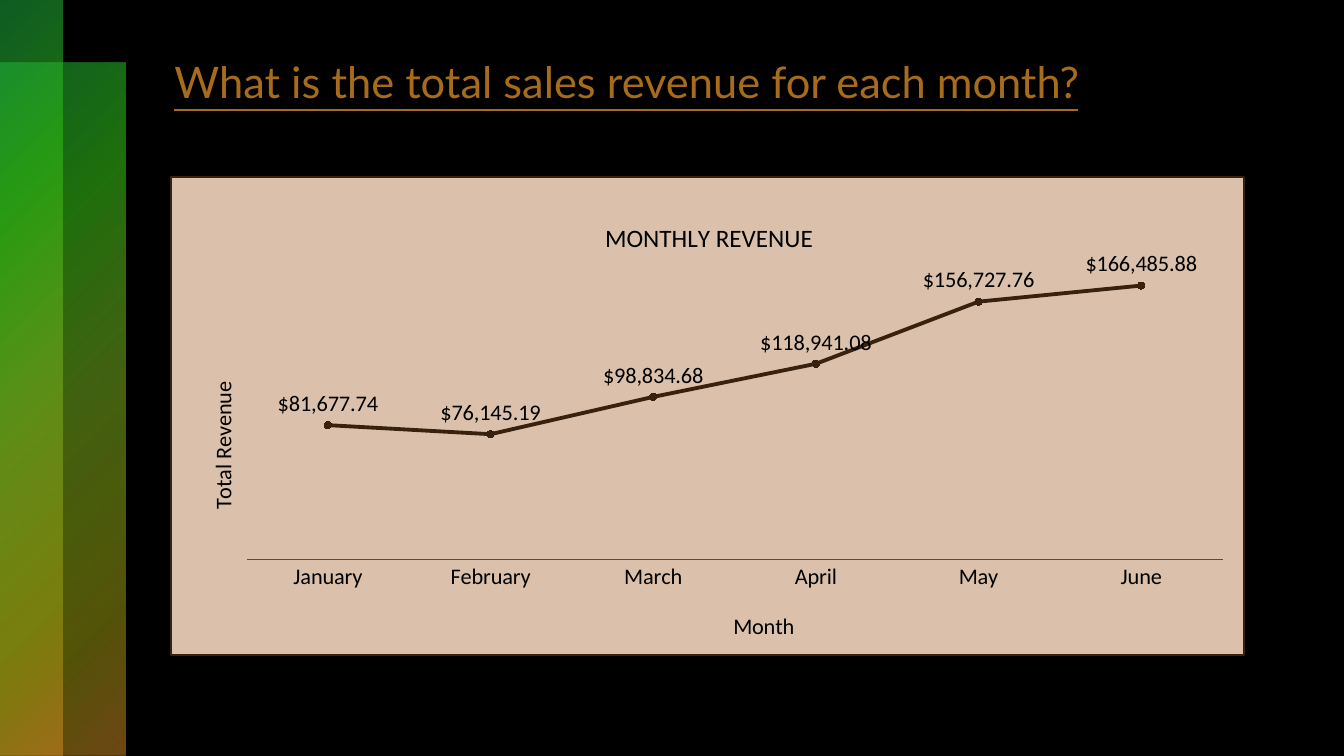
import pptx
import pptx.chart.data
import pptx.dml.color
import pptx.enum.chart
import pptx.enum.shapes
import pptx.enum.text
import pptx.oxml
import pptx.oxml.ns
import pptx.util
from pptx.util import Inches

TITLE = "What is the total sales revenue for each month?"
CHART_TITLE = "MONTHLY REVENUE"
MONTH_TITLE = "Month"
REVENUE_TITLE = "Total Revenue"
REVENUE = {
    "January": 81677.74,
    "February": 76145.19,
    "March": 98834.68,
    "April": 118941.08,
    "May": 156727.76,
    "June": 166485.88,
}
MONEY = r"\$#,##0.00;\(\$#,##0.00\);\$#,##0.00"
COLORS = {
    "background": "000000",
    "title": "A76C1B",
    "text": "000000",
    "panel": "DBC1AC",
    "line": "38220F",
    "marker": "634832",
}
# position in percent, colour, opacity in percent
BAND_STOPS = [(0, "21BA47", 50), (25, "30BA14", 60), (50, "75B320", 55),
              (81, "A6A612", 50), (99, "DC9026", 50)]
BAND_WIDTH = 0.62
BANDS = [(2 * BAND_WIDTH, BAND_WIDTH), (BAND_WIDTH, 0)]  # width, top
SLIDE_WIDTH, SLIDE_HEIGHT = 13.33, 7.5


def color(name):
    return pptx.dml.color.RGBColor.from_string(COLORS[name])


def write(frame, text, font="Calibri", size=16, ink="text", underline=None):
    para = frame.paragraphs[0]
    span = para.add_run()
    span.text = text
    span.font.name = font
    span.font.size = pptx.util.Pt(size)
    span.font.bold = False
    span.font.underline = underline
    span.font.color.rgb = color(ink)


def add_band(page, width, top):
    band = page.shapes.add_shape(
        pptx.enum.shapes.MSO_SHAPE.RECTANGLE, 0, Inches(top),
        Inches(width), Inches(SLIDE_HEIGHT - top))
    band.shadow.inherit = False
    band.line.fill.background()
    stops = "".join(
        f'<a:gs pos="{place * 1000}"><a:srgbClr val="{shade}">'
        f'<a:alpha val="{opacity * 1000}"/></a:srgbClr></a:gs>'
        for place, shade, opacity in BAND_STOPS)
    gradient = pptx.oxml.parse_xml(
        f'<a:gradFill {pptx.oxml.ns.nsdecls("a")} rotWithShape="1">'
        f'<a:gsLst>{stops}</a:gsLst><a:path path="circle">'
        '<a:fillToRect r="100000" b="100000"/></a:path></a:gradFill>')
    band._element.spPr.find(pptx.oxml.ns.qn("a:prstGeom")).addnext(gradient)


def place(element, index, **fractions):
    """Give a chart part a manual layout in fractions of the chart."""
    for old in element.findall(pptx.oxml.ns.qn("c:layout")):
        element.remove(old)
    target = '<c:layoutTarget val="inner"/>' if "w" in fractions else ""
    modes = '<c:xMode val="edge"/><c:yMode val="edge"/>'
    values = "".join(f'<c:{key} val="{value}"/>' for key, value in fractions.items())
    element.insert(index, pptx.oxml.parse_xml(
        f'<c:layout {pptx.oxml.ns.nsdecls("c")}><c:manualLayout>'
        f'{target}{modes}{values}</c:manualLayout></c:layout>'))


def add_chart_title(title, text, x, y, size=16):
    write(title.text_frame, text, size=size)
    place(title._element, 1, x=x, y=y)


def add_revenue_chart(page):
    data = pptx.chart.data.CategoryChartData(number_format=MONEY)
    data.categories = list(REVENUE)
    data.add_series("Series 1", list(REVENUE.values()))
    chart = page.shapes.add_chart(
        pptx.enum.chart.XL_CHART_TYPE.LINE_MARKERS, Inches(1.69), Inches(1.75),
        Inches(10.66), Inches(4.76), data).chart
    chart.has_legend = False
    chart.font.name = "Calibri"
    chart.font.size = pptx.util.Pt(16)
    chart.font.color.rgb = color("text")

    chart.has_title = True
    add_chart_title(chart.chart_title, CHART_TITLE, 0.4, 0.08, size=18)
    chart.chart_title.include_in_layout = False

    months = chart.category_axis
    months.major_tick_mark = pptx.enum.chart.XL_TICK_MARK.NONE
    months.format.line.color.rgb = color("marker")
    months.format.line.width = pptx.util.Pt(1)
    add_chart_title(months.axis_title, MONTH_TITLE, 0.52, 0.9)

    amounts = chart.value_axis
    amounts.minimum_scale, amounts.maximum_scale = 0, 180000
    amounts.has_major_gridlines = False
    add_chart_title(amounts.axis_title, REVENUE_TITLE, 0.03, 0.42)
    amounts.axis_title.text_frame._txBody.bodyPr.set("rot", "-5400000")
    amounts.visible = False

    plot = chart.plots[0]
    plot.vary_by_categories = False
    series = plot.series[0]
    series.smooth = False
    series.format.line.color.rgb = color("line")
    series.format.line.width = pptx.util.Pt(2.75)
    marker = series.marker
    marker.style = pptx.enum.chart.XL_MARKER_STYLE.CIRCLE
    marker.size = 5
    marker.format.fill.solid()
    marker.format.fill.fore_color.rgb = color("marker")
    marker.format.line.color.rgb = color("line")
    labels = series.data_labels
    labels.show_value = True
    labels.position = pptx.enum.chart.XL_LABEL_POSITION.ABOVE
    labels.number_format = MONEY
    labels.number_format_is_linked = False
    labels.font.name = "Calibri"
    labels.font.size = pptx.util.Pt(16)
    labels.font.color.rgb = color("text")

    space = chart._chartSpace
    place(space.chart.plotArea, 0, x=0.07, y=0.18, w=0.91, h=0.62)
    space.chart.addnext(pptx.oxml.parse_xml(
        f'<c:spPr {pptx.oxml.ns.nsdecls("c", "a")}>'
        f'<a:solidFill><a:srgbClr val="{COLORS["panel"]}"/></a:solidFill>'
        f'<a:ln w="{pptx.util.Pt(1.5)}"><a:solidFill>'
        f'<a:srgbClr val="{COLORS["line"]}"/></a:solidFill></a:ln></c:spPr>'))


def main():
    deck = pptx.Presentation()
    deck.slide_width, deck.slide_height = Inches(SLIDE_WIDTH), Inches(SLIDE_HEIGHT)
    page = deck.slides.add_slide(deck.slide_layouts.get_by_name("Title Only"))
    page.background.fill.solid()
    page.background.fill.fore_color.rgb = color("background")
    for width, top in BANDS:
        add_band(page, width, top)

    title = page.shapes.title
    title.left, title.top = Inches(1.63), Inches(0.5)
    title.width, title.height = Inches(10.66), Inches(0.91)
    frame = title.text_frame
    frame.vertical_anchor = pptx.enum.text.MSO_ANCHOR.TOP
    frame.auto_size = pptx.enum.text.MSO_AUTO_SIZE.NONE
    write(frame, TITLE, font="Lato", size=31, ink="title", underline=True)
    frame.paragraphs[0].alignment = pptx.enum.text.PP_ALIGN.LEFT

    add_revenue_chart(page)
    deck.save("out.pptx")


if __name__ == "__main__":
    main()
